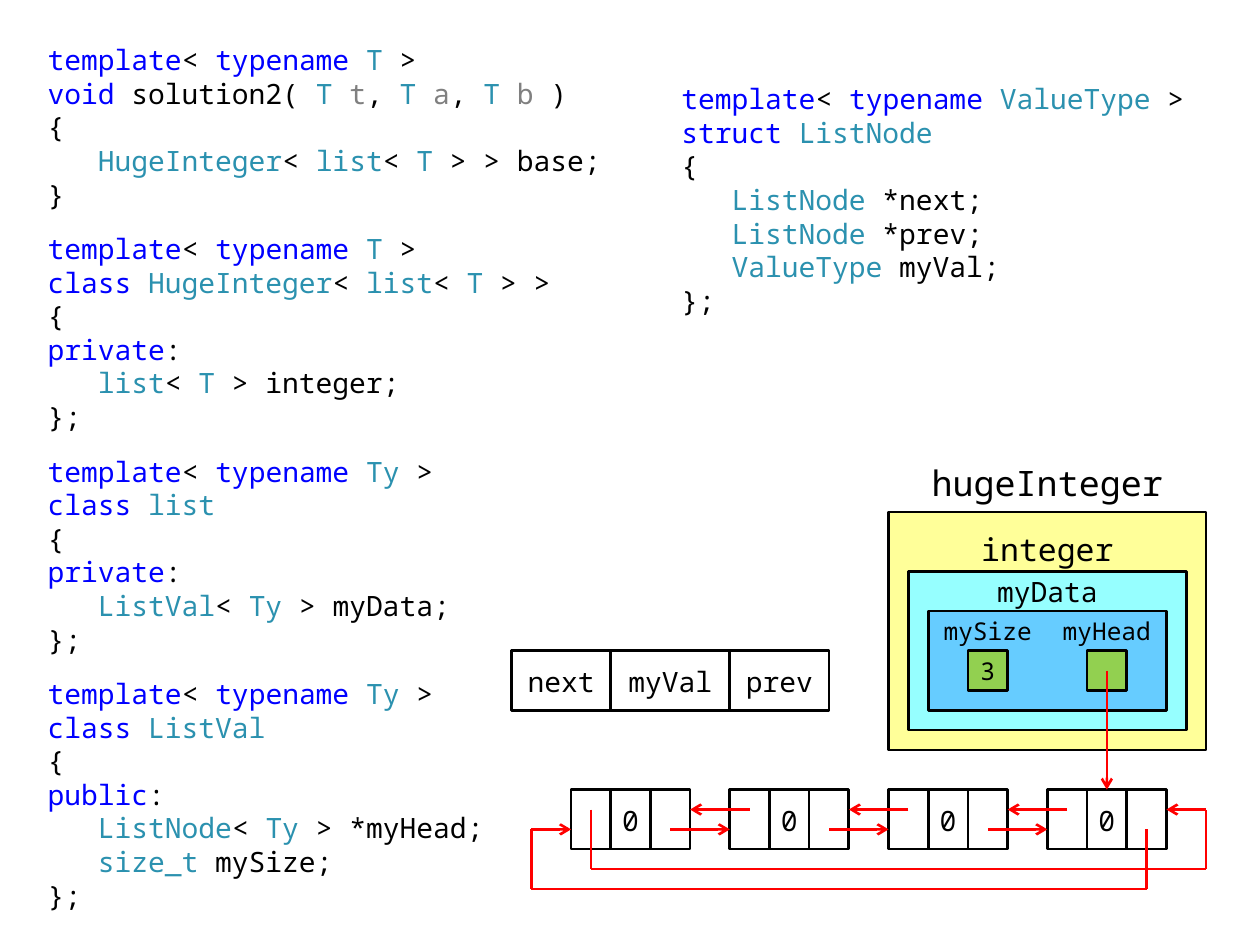
"""Build a slide that sets list-based template code beside its memory layout."""
from itertools import groupby, pairwise

from lxml.etree import SubElement
from pptx import Presentation
from pptx.dml.color import RGBColor
from pptx.enum.shapes import MSO_CONNECTOR as Connector, MSO_SHAPE as Shape
from pptx.enum.text import MSO_ANCHOR as Anchor, PP_ALIGN as Align
from pptx.oxml.ns import qn
from pptx.util import Inches, Pt

FONT = "Noto Sans Mono"
COLORS = {
    "plain": "000000", "keyword": "0000FF", "type": "2B91AF", "param": "808080",
    "outer": "FFFF99", "middle": "96FFFF", "inner": "66CCFF",
    "field": "92D050", "link": "FF0000",
}
WORDS = {
    "keyword": {"template", "typename", "void", "class", "struct", "private", "public"},
    "type": {"T", "Ty", "HugeInteger", "list", "ListVal", "ListNode", "ValueType", "size_t"},
    "param": {"t", "a", "b"},
}

CLASS_CODE = [
    """template< typename T >
void solution2( T t, T a, T b )
{
   HugeInteger< list< T > > base;
}""",
    """template< typename T >
class HugeInteger< list< T > >
{
private:
   list< T > integer;
};""",
    """template< typename Ty >
class list
{
private:
   ListVal< Ty > myData;
};""",
    """template< typename Ty >
class ListVal
{
public:
   ListNode< Ty > *myHead;
   size_t mySize;
};""",
]
NODE_CODE = [
    """template< typename ValueType >
struct ListNode
{
   ListNode *next;
   ListNode *prev;
   ValueType myVal;
};""",
]
CODE_BOXES = [
    (CLASS_CODE, (0.28, 0.29, 4.72, 7.09)),
    (NODE_CODE, (5.31, 0.6, 4.41, 2.05)),
]

# Diagram positions are in grid units: left, top, width, height.
GRID, GRID_LEFT, GRID_TOP = 0.315, 4.06, 3.59
NESTED_BOXES = [
    ((9.5, 1.5, 8, 6), "outer"),
    ((10, 3, 7, 4), "middle"),
    ((10.5, 4, 6, 2.5), "inner"),
]
LABELS = [
    ("hugeInteger", (10, 0, 7, 1.5), 20, 0),
    ("integer", (11.5, 1.5, 4, 1.5), 18, 0.12),
    ("myData", (11.5, 3, 4, 1), 16, 0),
    ("mySize", (10.5, 4, 3, 1), 14, 0),
    ("myHead", (13.5, 4, 3, 1), 14, 0),
]
FIELDS = [("3", (11.5, 5, 1, 1)), ("", (14.5, 5, 1, 1))]
LEGEND = [("next", 0, 2.5), ("myVal", 2.5, 3), ("prev", 5.5, 2.5)]
NODE_VALUES = ["0", "0", "0", "0"]
NODE_LEFT, NODE_TOP, NODE_PITCH = 1.5, 8.5, 4
LINK_PATHS = [
    [(15, 5.5), (15, 8.5)],
    [(16, 9.5), (16, 11), (0.5, 11), (0.5, 9.5), (1.5, 9.5)],
    [(2, 9), (2, 10.5), (17.5, 10.5), (17.5, 9), (16.5, 9)],
]


def rgb(name):
    return RGBColor.from_string(COLORS[name])


def grid_x(units):
    return Inches(GRID_LEFT + units * GRID)


def grid_y(units):
    return Inches(GRID_TOP + units * GRID)


def word_color(word):
    return next((kind for kind, words in WORDS.items() if word in words), "plain")


def add_code(slide, blocks, place):
    frame = slide.shapes.add_textbox(*map(Inches, place)).text_frame
    frame.word_wrap = True
    lines = [(line, number > 0 and row == 0)
             for number, block in enumerate(blocks)
             for row, line in enumerate(block.splitlines())]
    for index, (line, starts_block) in enumerate(lines):
        paragraph = frame.add_paragraph() if index else frame.paragraphs[0]
        paragraph.font.name, paragraph.font.size = FONT, Pt(16)
        paragraph.line_spacing = Pt(19.2)
        paragraph.space_before = Pt(12 if starts_block else 0)
        words = ["".join(letters) for _, letters in
                 groupby(line, lambda letter: letter.isalnum() or letter == "_")]
        for kind, group in groupby(words, word_color):
            run = paragraph.add_run()
            run.text = "".join(group)
            run.font.color.rgb = rgb(kind)


def write_centered(shape, text, size, top=0.0, bottom=0.0):
    frame = shape.text_frame
    frame.word_wrap = False
    frame.vertical_anchor = Anchor.MIDDLE
    frame.margin_left = frame.margin_right = 0
    frame.margin_top, frame.margin_bottom = Inches(top), Inches(bottom)
    paragraph = frame.paragraphs[0]
    paragraph.text, paragraph.alignment = text, Align.CENTER
    paragraph.font.name, paragraph.font.size = FONT, Pt(size)
    paragraph.font.color.rgb = rgb("plain")


def grid_place(left, top, width, height):
    return grid_x(left), grid_y(top), Inches(width * GRID), Inches(height * GRID)


def add_box(slide, place, fill=None, kind=Shape.RECTANGLE):
    box = slide.shapes.add_shape(kind, *grid_place(*place))
    box.shadow.inherit = False
    if fill:
        box.fill.solid()
        box.fill.fore_color.rgb = rgb(fill)
    else:
        box.fill.background()
    box.line.color.rgb, box.line.width = rgb("plain"), Pt(1.5)
    return box


def add_link(slide, points):
    for start, end in pairwise(points):
        link = slide.shapes.add_connector(
            Connector.STRAIGHT, grid_x(start[0]), grid_y(start[1]), grid_x(end[0]), grid_y(end[1]))
        link.line.color.rgb, link.line.width = rgb("link"), Pt(1.5)
        if end == points[-1]:
            SubElement(link.line._get_or_add_ln(), qn("a:tailEnd"), type="arrow")
        SubElement(link._element.spPr, qn("a:effectLst"))


def main():
    deck = Presentation()
    deck.slide_width, deck.slide_height = Inches(10), Inches(7.5)
    slide = deck.slides.add_slide(deck.slide_layouts[6])

    for blocks, place in CODE_BOXES:
        add_code(slide, blocks, place)
    for place, fill in NESTED_BOXES:
        add_box(slide, place, fill, Shape.FLOWCHART_PROCESS)
    for text, place, size, top in LABELS:
        write_centered(slide.shapes.add_textbox(*grid_place(*place)), text, size, top)
    for text, place in FIELDS:
        field = add_box(slide, place, "field")
        if text:
            write_centered(field, text, 14)
    for text, left, width in LEGEND:
        write_centered(add_box(slide, (left, 5, width, 1.5)), text, 16, 0.06, 0.04)

    links = list(LINK_PATHS)
    for index, value in enumerate(NODE_VALUES):
        left = NODE_LEFT + index * NODE_PITCH
        cells = [add_box(slide, (left + column, NODE_TOP, 1, 1.5)) for column in range(3)]
        write_centered(cells[1], value, 16, 0.06, 0.04)
        if index < len(NODE_VALUES) - 1:
            links.append([(left + 2.5, 9.5), (left + NODE_PITCH, 9.5)])
            links.append([(left + NODE_PITCH + 0.5, 9), (left + 3, 9)])
    for points in links:
        add_link(slide, points)

    deck.save("out.pptx")


if __name__ == "__main__":
    main()
